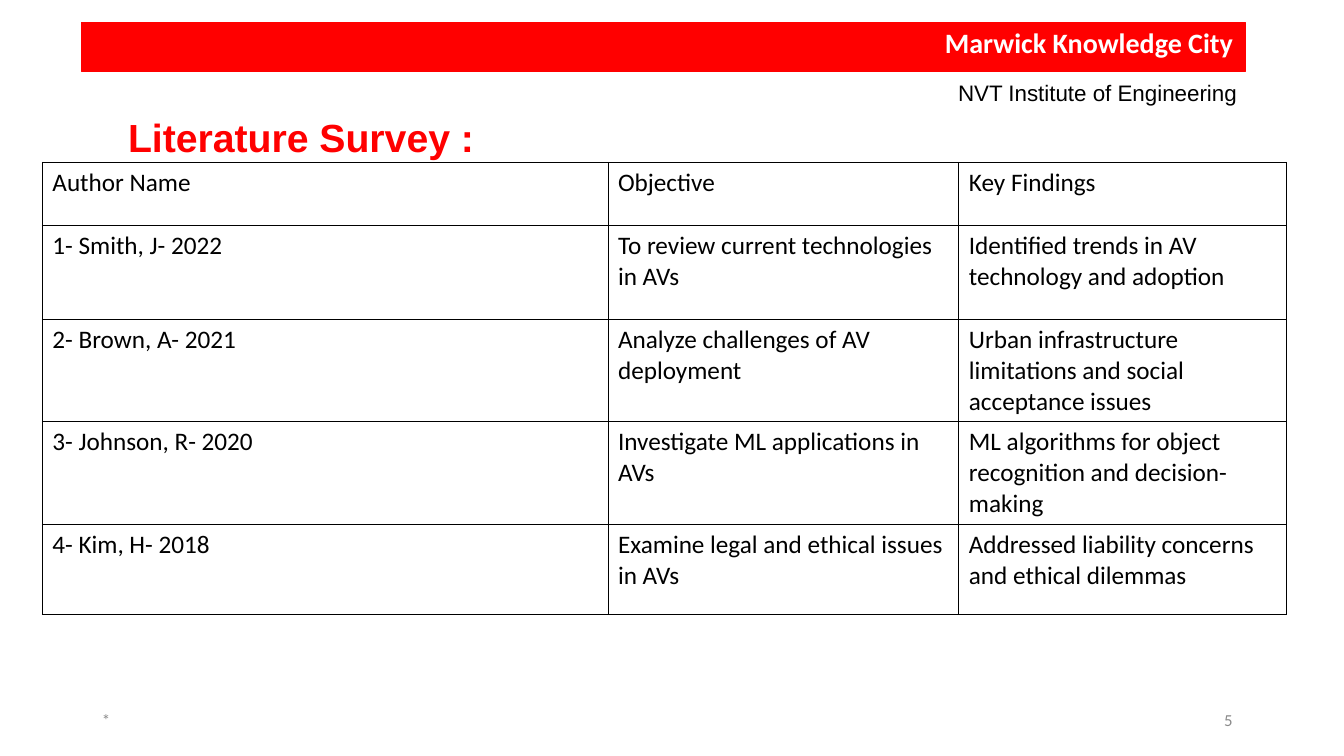
from collections import namedtuple

from lxml import etree
from pptx import Presentation
from pptx.dml.color import RGBColor
from pptx.enum.shapes import MSO_SHAPE
from pptx.enum.text import PP_ALIGN
from pptx.oxml.ns import qn
from pptx.util import Inches, Pt

RECTANGLE = MSO_SHAPE.RECTANGLE
LEFT, RIGHT = PP_ALIGN.LEFT, PP_ALIGN.RIGHT
CELL = Inches(0.1)
COLORS = {"red": "FF0000", "black": "000000", "white": "FFFFFF", "grey": "8B8B8B"}
THIN, THICK = 0.75, 1

Box = namedtuple("Box", "left top width height")
PAGE = Box(0, 0, 133.3, 75)
HEADER = Box(8.1, 2.2, 115.4, 4.9)
HEADING = Box(12.6, 7.4, 110.1, 14.1)
SURVEY = Box(4.2, 16.1, 123.4, 42.9)
FOOTER = Box(10, 70.7, 113.5, 1.9)

COLUMN_WIDTHS = [56.1, 34.8, 32.5]
ROW_HEIGHTS = [6.3, 9.3, 9.2, 9.2, 8.9]
SURVEY_ROWS = [
    ("Author Name", "Objective", "Key Findings"),
    ("1- Smith, J- 2022", "To review current technologies in AVs",
     "Identified trends in AV technology and adoption"),
    ("2- Brown, A- 2021", "Analyze challenges of AV deployment",
     "Urban infrastructure limitations and social acceptance issues"),
    ("3- Johnson, R- 2020", "Investigate ML applications in AVs",
     "ML algorithms for object recognition and decision-making"),
    ("4- Kim, H- 2018", "Examine legal and ethical issues in AVs",
     "Addressed liability concerns and ethical dilemmas"),
]


def cells(count):
    """Turn a number of grid cells into a length."""
    return round(count * CELL)


def place(box):
    """Give the left, top, width and height of a grid box as lengths."""
    return [cells(count) for count in box]


def inside(box, left, top, width, height):
    """Give a grid box whose corner is counted from that of another box."""
    return Box(box.left + left, box.top + top, width, height)


def write(para, text, color, font, para_format=None):
    """Put one styled run into a paragraph."""
    span = para.add_run()
    span.text = text
    span.font.color.rgb = RGBColor.from_string(COLORS[color])
    for target, values in ((span.font, font), (para, para_format or {})):
        for name, value in values.items():
            setattr(target, name, value)


def add_text(slide, box, lines, frame_format=None):
    """Add a text box with one paragraph for each line."""
    frame = slide.shapes.add_textbox(*place(box)).text_frame
    margins = {"margin_left": 0, "margin_right": 0, "margin_top": 0, "margin_bottom": 0}
    for name, value in {"word_wrap": True, **margins, **(frame_format or {})}.items():
        setattr(frame, name, value)
    for index, line in enumerate(lines):
        para = frame.add_paragraph() if index else frame.paragraphs[0]
        write(para, *line)


def add_borders(cell, widths):
    """Draw the four borders of a table cell."""
    properties = cell._tc.get_or_add_tcPr()
    for side, width in widths.items():
        line = etree.SubElement(properties, qn(f"a:ln{side}"), w=str(Pt(width)))
        fill = etree.SubElement(line, qn("a:solidFill"))
        etree.SubElement(fill, qn("a:srgbClr"), val=COLORS["black"])


def add_survey(slide, box):
    """Add the literature table."""
    table = slide.shapes.add_table(
        len(ROW_HEIGHTS), len(COLUMN_WIDTHS), *place(box)).table
    table.first_row = table.horz_banding = False
    for column, width in zip(table.columns, COLUMN_WIDTHS):
        column.width = cells(width)
    for row, height in zip(table.rows, ROW_HEIGHTS):
        row.height = cells(height)
    font = {"size": Pt(18), "name": "Calibri", "bold": False}
    for row, texts in enumerate(SURVEY_ROWS):
        for column, text in enumerate(texts):
            cell = table.cell(row, column)
            add_borders(cell, {
                "L": THICK if column == 2 else THIN,
                "R": THICK if column == 1 else THIN,
                "T": THICK if row == 1 else THIN,
                "B": THICK if row == 0 else THIN,
            })
            cell.fill.background()
            write(cell.text_frame.paragraphs[0], text, "black", font)


def add_header(slide, box):
    """Add the red banner with the campus name."""
    red = RGBColor.from_string(COLORS["red"])
    banner = slide.shapes.add_shape(RECTANGLE, *place(box))
    banner.shadow.inherit = False
    banner.fill.solid()
    banner.fill.fore_color.rgb = red
    banner.line.color.rgb = red
    banner.line.width = Pt(THIN)
    font = {"size": Pt(20), "name": "Calibri", "bold": True}
    add_text(slide, inside(box, 2.6, 0.2, 111.9, 3.6),
             [("Marwick Knowledge City", "white", font,
               {"alignment": RIGHT, "space_before": Pt(1)})],
             {"margin_top": cells(0.1), "margin_right": cells(0.3)})


def add_heading(slide, box):
    """Add the institute name and the slide heading."""
    add_text(slide, box, [
        ("NVT Institute of Engineering", "black",
         {"size": Pt(16), "name": "Arial"},
         {"alignment": RIGHT, "space_before": Pt(4)}),
        ("Literature Survey :", "red",
         {"size": Pt(28), "name": "Arial", "bold": True},
         {"alignment": LEFT, "space_before": Pt(5.2)}),
    ], {"margin_top": cells(0.5), "margin_left": cells(0.1)})


def add_footer(slide, box):
    """Add the date mark and the page number."""
    font = {"size": Pt(12), "name": "Calibri"}
    number_width = 2.5
    marks = (("*", 0, 1.1, 0.1), ("5", box.width - number_width, number_width, 0.4))
    for text, left, width, indent in marks:
        add_text(slide, inside(box, left, 0, width, box.height),
                 [(text, "grey", font, {"line_spacing": Pt(12.4)})],
                 {"margin_left": cells(indent)})


def main():
    """Build and save the deck."""
    deck = Presentation()
    deck.slide_width, deck.slide_height = cells(PAGE.width), cells(PAGE.height)
    slide = deck.slides.add_slide(deck.slide_layouts[6])
    add_survey(slide, SURVEY)
    add_header(slide, HEADER)
    add_heading(slide, HEADING)
    add_footer(slide, FOOTER)
    deck.save("out.pptx")


if __name__ == "__main__":
    main()
